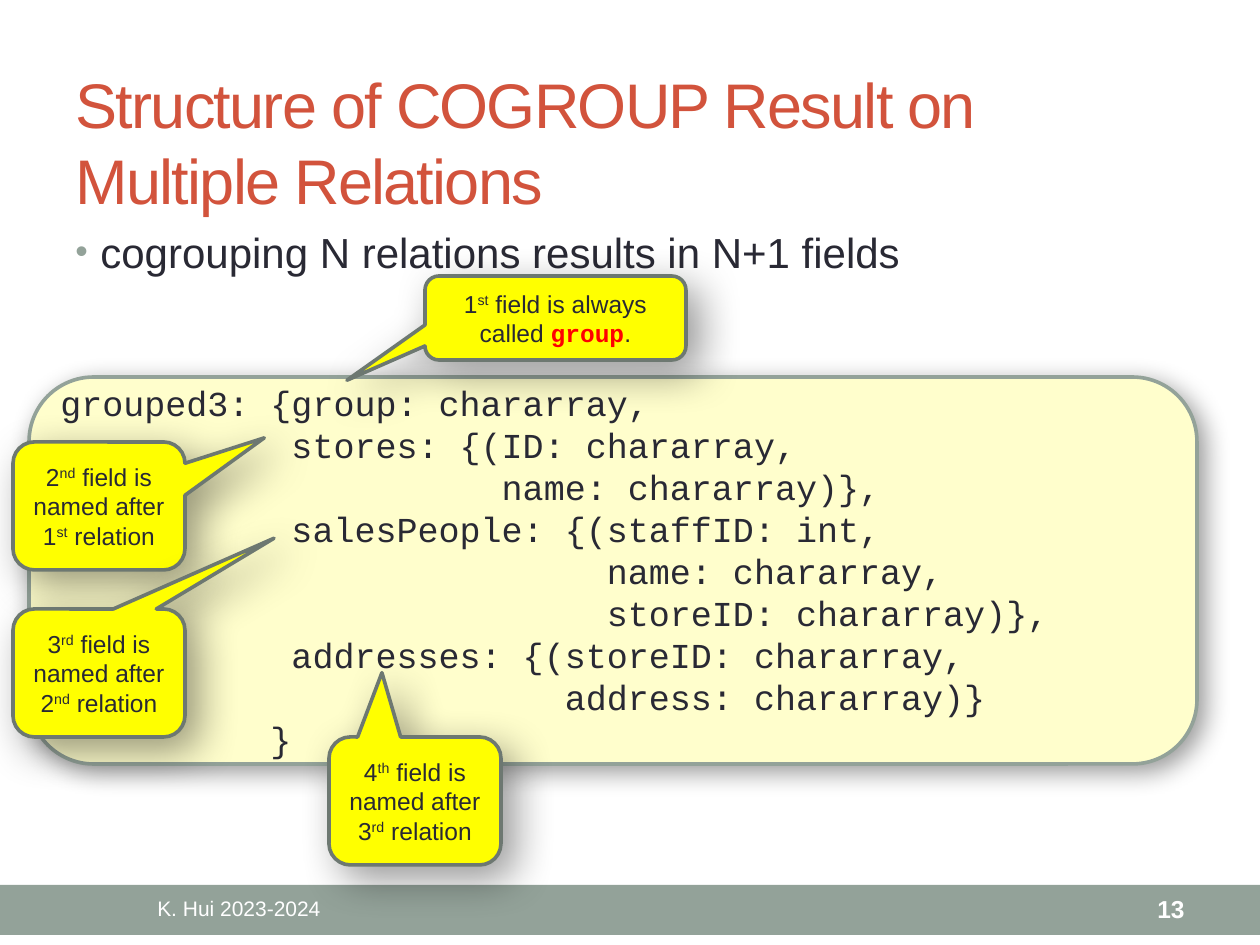
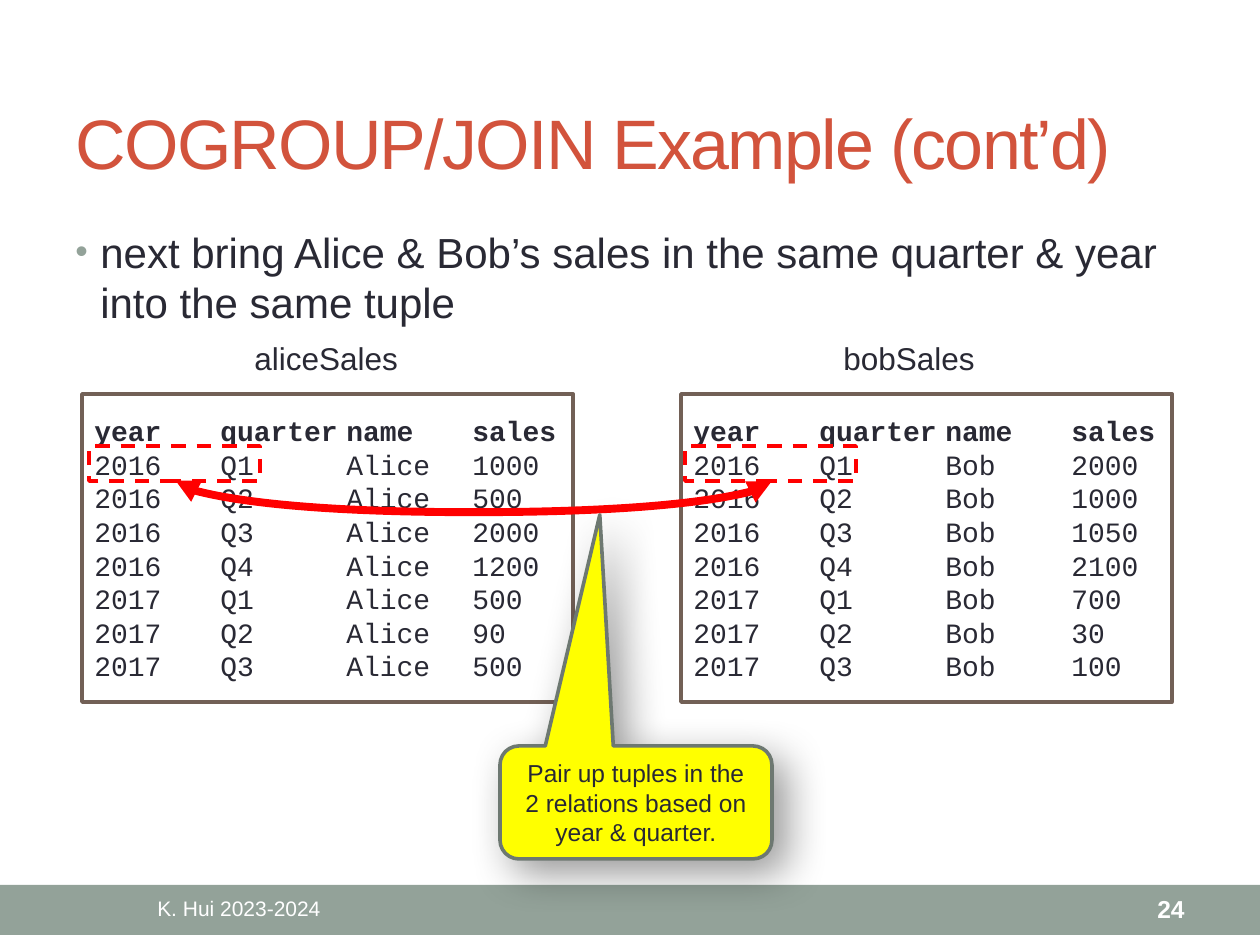
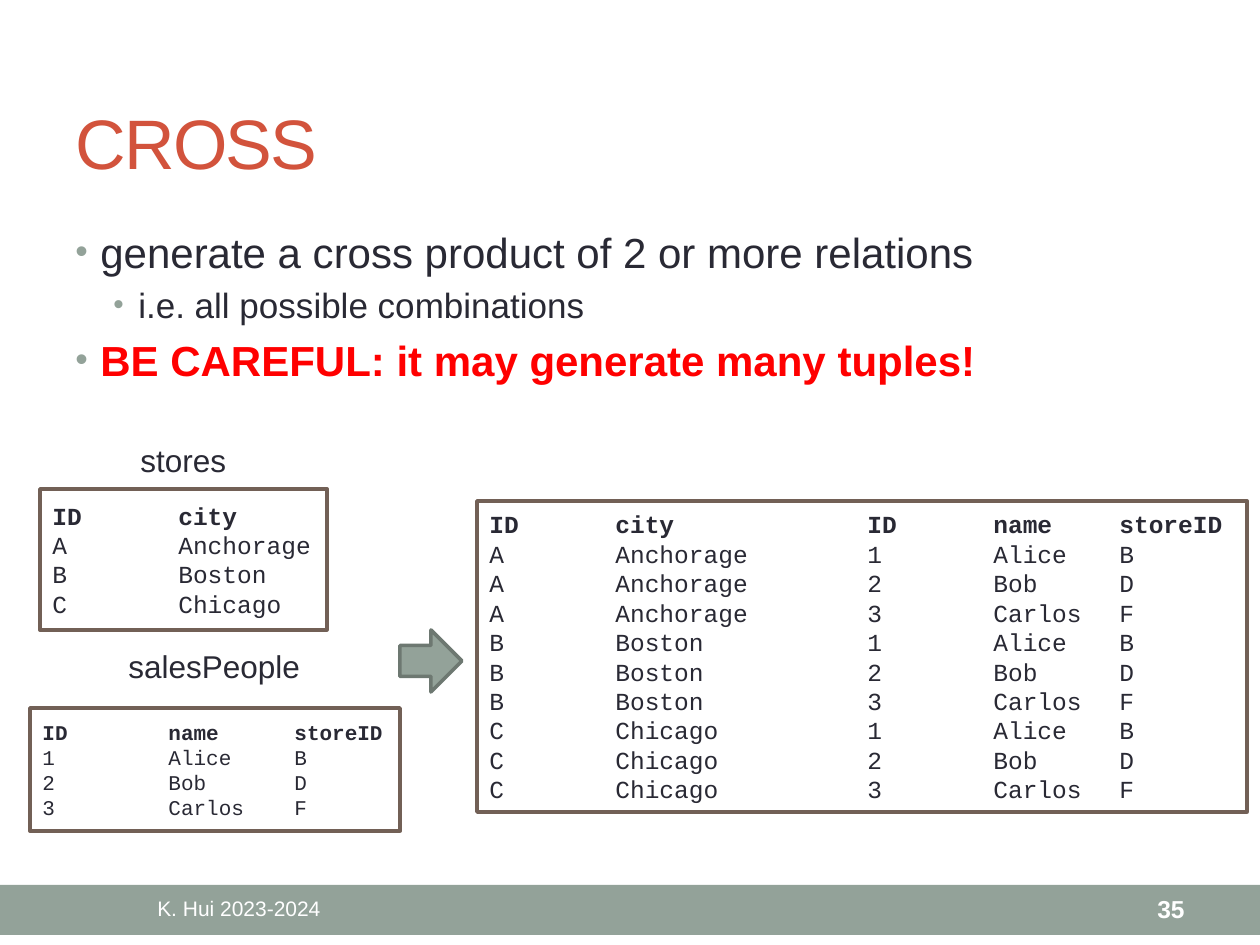
from dataclasses import dataclass
from itertools import product

from lxml import etree
from pptx import Presentation, util as u
from pptx.dml.color import RGBColor
from pptx.enum import dml, shapes, text
from pptx.oxml.ns import qn

SCALE = 914400 / 126  # EMU in one px
WIDE, HIGH = 1260, 945
TAB, STOPS = 126, 5

INK = RGBColor(0x29, 0x29, 0x34)
SAGE = RGBColor(0x93, 0xA2, 0x99)
MOSS = RGBColor(0x6D, 0x78, 0x71)
RUST = RGBColor(0xD2, 0x53, 0x3C)
BROWN = RGBColor(0x72, 0x60, 0x56)
CREAM = RGBColor(0xFF, 0xFE, 0xCC)
YELLOW = RGBColor(0xFF, 0xFF, 0x00)
RED = RGBColor(0xFF, 0x00, 0x00)
WHITE = RGBColor(0xFF, 0xFF, 0xFF)
SANS, MONO = "Arial", "Courier New"
RULE = 2.08

KIND = shapes.MSO_SHAPE
ALIGN = text.PP_ALIGN
MIDDLE = text.MSO_ANCHOR.MIDDLE


@dataclass(frozen=True)
class Box:
    x: int
    y: int
    w: int
    h: int

    def emu(self) -> list[int]:
        return [px(n) for n in (self.x, self.y, self.w, self.h)]


@dataclass(frozen=True)
class Note:
    """A callout: ^ marks raised text, ` marks code."""
    box: Box
    tip: tuple[float, float]
    words: str


@dataclass(frozen=True)
class Grid:
    """A boxed relation with tabbed columns and a bold first row."""
    box: Box
    size: int
    rows: list[str]


@dataclass(frozen=True)
class Label:
    box: Box
    words: str


@dataclass(frozen=True)
class Point:
    words: str
    level: int = 0
    alert: bool = False


def px(n: float) -> int:
    return round(n * SCALE)


def put(par, words: str, *, size: int, color=INK, face=SANS, bold=False,
        raised=False, track=0):
    """Add one formatted run to a paragraph."""
    run = par.add_run()
    run.text = words
    font = run.font
    font.size, font.name, font.bold = u.Pt(size), face, bold
    font.color.rgb = color
    props = run._r.get_or_add_rPr()
    if raised:
        props.set("baseline", "30000")
    if track:
        props.set("spc", str(track))


def lines(frame):
    """Yield the first paragraph of a frame, then new ones."""
    yield frame.paragraphs[0]
    while True:
        yield frame.add_paragraph()


def field(slide, box: Box, words: str, *, align=ALIGN.LEFT, anchor=MIDDLE,
          wrap=True, **style):
    frame = slide.shapes.add_textbox(*box.emu()).text_frame
    frame.word_wrap, frame.vertical_anchor = wrap, anchor
    frame.paragraphs[0].alignment = align
    put(frame.paragraphs[0], words, **style)


def form(slide, kind, box: Box, fill=None, edge=None, blur=0, drop=0):
    """Draw a preset shape, with a soft shadow when blur is given."""
    item = slide.shapes.add_shape(kind, *box.emu())
    item.shadow.inherit = False
    if fill is None:
        item.fill.background()
    else:
        item.fill.solid()
        item.fill.fore_color.rgb = fill
    if edge is None:
        item.line.fill.background()
    else:
        item.line.color.rgb = edge
        item.line.width = u.Pt(RULE)
    if blur:
        effects = item.element.spPr.find(qn("a:effectLst"))
        shade = etree.SubElement(
            effects, qn("a:outerShdw"), blurRad=str(u.Pt(blur)),
            dist=str(u.Pt(drop)), dir="2700000", algn="tl", rotWithShape="0")
        black = etree.SubElement(shade, qn("a:srgbClr"), val="000000")
        etree.SubElement(black, qn("a:alpha"), val="40000")
    item.text_frame.word_wrap = True
    item.text_frame.vertical_anchor = MIDDLE
    return item


def page(deck, title: str, number: int, size: int = 40):
    """Start a slide with its band, title and footer."""
    slide = deck.slides.add_slide(deck.slide_layouts[5])
    form(slide, KIND.RECTANGLE, Box(0, 885, WIDE, 50), SAGE)
    head = slide.shapes.title
    head.left, head.top, head.width, head.height = Box(63, 73, 1134, 136).emu()
    frame = head.text_frame
    frame.word_wrap, frame.vertical_anchor = True, MIDDLE
    frame.auto_size = text.MSO_AUTO_SIZE.NONE
    frame.paragraphs[0].alignment = ALIGN.LEFT
    put(frame.paragraphs[0], title, size=size, color=RUST, track=-100)
    field(slide, Box(63, 886, 352, 45), "K. Hui 2023-2024",
          align=ALIGN.CENTER, size=12, color=WHITE)
    field(slide, Box(1050, 886, 147, 45), str(number),
          align=ALIGN.RIGHT, size=14, color=WHITE, bold=True)
    return slide


def points(slide, high: int, items: list[Point]):
    frame = slide.shapes.add_textbox(*Box(63, 220, 1134, high).emu()).text_frame
    frame.word_wrap = True
    for i, (item, par) in enumerate(zip(items, lines(frame))):
        size = 20 if item.level else 24
        props = par._p.get_or_add_pPr()
        props.set("marL", str(px(25 + 38 * item.level)))
        props.set("indent", str(px(-25)))
        tint = etree.SubElement(props, qn("a:buClr"))
        etree.SubElement(tint, qn("a:srgbClr"), val=str(SAGE))
        etree.SubElement(props, qn("a:buSzPct"), val="85000")
        etree.SubElement(props, qn("a:buFont"), typeface=SANS)
        etree.SubElement(props, qn("a:buChar"), char="•")
        par.level = item.level
        if i:
            par.space_before = u.Pt(size / 5)
        put(par, item.words, size=size, color=RED if item.alert else INK,
            bold=item.alert)


def code(item, rows: list[str], size: int, header=False):
    """Fill a shape with left-aligned monospaced rows."""
    for i, (row, par) in enumerate(zip(rows, lines(item.text_frame))):
        par.alignment = ALIGN.LEFT
        if "\t" in row:
            stops = etree.SubElement(par._p.get_or_add_pPr(), qn("a:tabLst"))
            for n in range(1, STOPS + 1):
                etree.SubElement(stops, qn("a:tab"), pos=str(px(n * TAB)),
                                 algn="l")
        put(par, row, size=size, face=MONO, bold=header and i == 0)


def grid(slide, data: Grid):
    item = form(slide, KIND.RECTANGLE, data.box, WHITE, BROWN)
    code(item, data.rows, data.size, header=True)


def label(slide, data: Label):
    field(slide, data.box, data.words, anchor=text.MSO_ANCHOR.TOP,
          wrap=False, size=18)


def note(slide, data: Note):
    item = form(slide, KIND.ROUNDED_RECTANGULAR_CALLOUT, data.box, YELLOW,
                MOSS, blur=24, drop=10)
    for i, value in enumerate((*data.tip, 0.167)):
        item.adjustments[i] = value
    par = item.text_frame.paragraphs[0]
    par.alignment = ALIGN.CENTER
    for i, part in enumerate(data.words.split("^")):
        for j, bit in enumerate(part.split("`")):
            if j % 2:
                put(par, bit, size=14, color=RED, face=MONO, bold=True)
            else:
                put(par, bit, size=14, raised=i % 2 == 1)


def swoop(slide, left: int, right: int, top: int, depth: int):
    """Draw a double arrow that sags by depth between two points."""
    span = right - left
    mid = (left + right) // 2
    arc = slide.shapes.add_connector(shapes.MSO_CONNECTOR.CURVE, 0, 0, 1, 1)
    arc.left, arc.top, arc.width, arc.height = Box(
        mid, top - span // 2, 1, span).emu()
    arc.line.color.rgb = RED
    arc.line.width = u.Pt(4.5)
    props = arc.element.spPr
    frame = props.find(qn("a:xfrm"))
    frame.set("rot", "16200000")
    frame.set("flipH", "1")
    shape = props.find(qn("a:prstGeom"))
    guides = shape.find(qn("a:avLst"))
    if guides is None:
        guides = etree.SubElement(shape, qn("a:avLst"))
    etree.SubElement(guides, qn("a:gd"), name="adj1", fmla=f"val {depth * 100000}")
    stroke = props.find(qn("a:ln"))
    for end in ("a:headEnd", "a:tailEnd"):
        etree.SubElement(stroke, qn(end), type="triangle")
    etree.SubElement(props, qn("a:effectLst"))


SCHEMA = [
    "grouped3: {group: chararray,",
    "           stores: {(ID: chararray,",
    "                     name: chararray)},",
    "           salesPeople: {(staffID: int,",
    "                          name: chararray,",
    "                          storeID: chararray)},",
    "           addresses: {(storeID: chararray,",
    "                        address: chararray)}",
    "          }",
]
FIELDS = [
    Note(Box(425, 276, 261, 84), (-0.799, 0.741),
         "1^st^ field is always called `group`."),
    Note(Box(13, 442, 172, 128), (0.961, -0.532),
         "2^nd^ field is named after 1^st^ relation"),
    Note(Box(13, 609, 172, 128), (1.018, -1.053),
         "3^rd^ field is named after 2^nd^ relation"),
    Note(Box(329, 737, 172, 128), (-0.192, -1.002),
         "4^th^ field is named after 3^rd^ relation"),
]
TERMS = ["2016\tQ1", "2016\tQ2", "2016\tQ3", "2016\tQ4",
         "2017\tQ1", "2017\tQ2", "2017\tQ3"]
ALICE = [1000, 500, 2000, 1200, 500, 90, 500]
BOB = [2000, 1000, 1050, 2100, 700, 30, 100]
STORES = [("A", "Anchorage"), ("B", "Boston"), ("C", "Chicago")]
PEOPLE = ["1\tAlice\tB", "2\tBob\tD", "3\tCarlos\tF"]


def sales(left: int, name: str, sums: list[int]) -> Grid:
    rows = [f"{term}\t{name}\t{n}" for term, n in zip(TERMS, sums)]
    return Grid(Box(left, 394, 491, 308), 16,
                ["year\tquarter\tname\tsales", *rows])


def cross() -> list[str]:
    """Pair each store with each person; short cities take two tabs."""
    rows = ["ID\tcity\t\tID\tname\tstoreID"]
    for (key, city), person in product(STORES, PEOPLE):
        gap = "\t" if len(city) > 8 else "\t\t"
        rows.append(f"{key}\t{city}{gap}{person}")
    return rows


def structure(deck):
    slide = page(deck, "Structure of COGROUP Result on Multiple Relations",
                 13, size=36)
    points(slide, 78, [Point("cogrouping N relations results in N+1 fields")])
    panel = form(slide, KIND.ROUNDED_RECTANGLE, Box(29, 377, 1168, 387),
                 CREAM, SAGE, blur=15, drop=5)
    code(panel, SCHEMA, 20)
    for item in FIELDS:
        note(slide, item)


def pairing(deck):
    slide = page(deck, "COGROUP/JOIN Example (cont’d)", 24)
    grid(slide, sales(82, "Alice", ALICE))
    label(slide, Label(Box(242, 333, 170, 50), "aliceSales"))
    grid(slide, sales(681, "Bob", BOB))
    label(slide, Label(Box(831, 333, 157, 50), "bobSales"))
    points(slide, 151, [Point("next bring Alice & Bob’s sales in the same "
                              "quarter & year into the same tuple")])
    for left in (89, 685):
        mark = form(slide, KIND.RECTANGLE, Box(left, 446, 171, 35), edge=RED)
        mark.line.dash_style = dml.MSO_LINE.DASH
    swoop(slide, 175, 771, 481, 32)
    note(slide, Note(Box(500, 746, 272, 113), (-0.133, -2.545),
                     "Pair up tuples in the 2 relations based on "
                     "year & quarter."))


def combos(deck):
    slide = page(deck, "CROSS", 35)
    points(slide, 650, [
        Point("generate a cross product of 2 or more relations"),
        Point("i.e. all possible combinations", level=1),
        Point("BE CAREFUL: it may generate many tuples!", alert=True),
    ])
    stores = [f"{key}\t{city}" for key, city in STORES]
    grid(slide, Grid(Box(40, 489, 287, 141), 14, ["ID\tcity", *stores]))
    grid(slide, Grid(Box(30, 708, 370, 123), 12,
                     ["ID\tname\tstoreID", *PEOPLE]))
    label(slide, Label(Box(128, 435, 112, 50), "stores"))
    label(slide, Label(Box(116, 641, 199, 50), "salesPeople"))
    grid(slide, Grid(Box(477, 501, 770, 311), 14, cross()))
    form(slide, KIND.RIGHT_ARROW, Box(400, 630, 62, 62), SAGE, MOSS)


def main():
    deck = Presentation()
    deck.slide_width, deck.slide_height = px(WIDE), px(HIGH)
    for build in (structure, pairing, combos):
        build(deck)
    deck.save("out.pptx")


if __name__ == "__main__":
    main()
